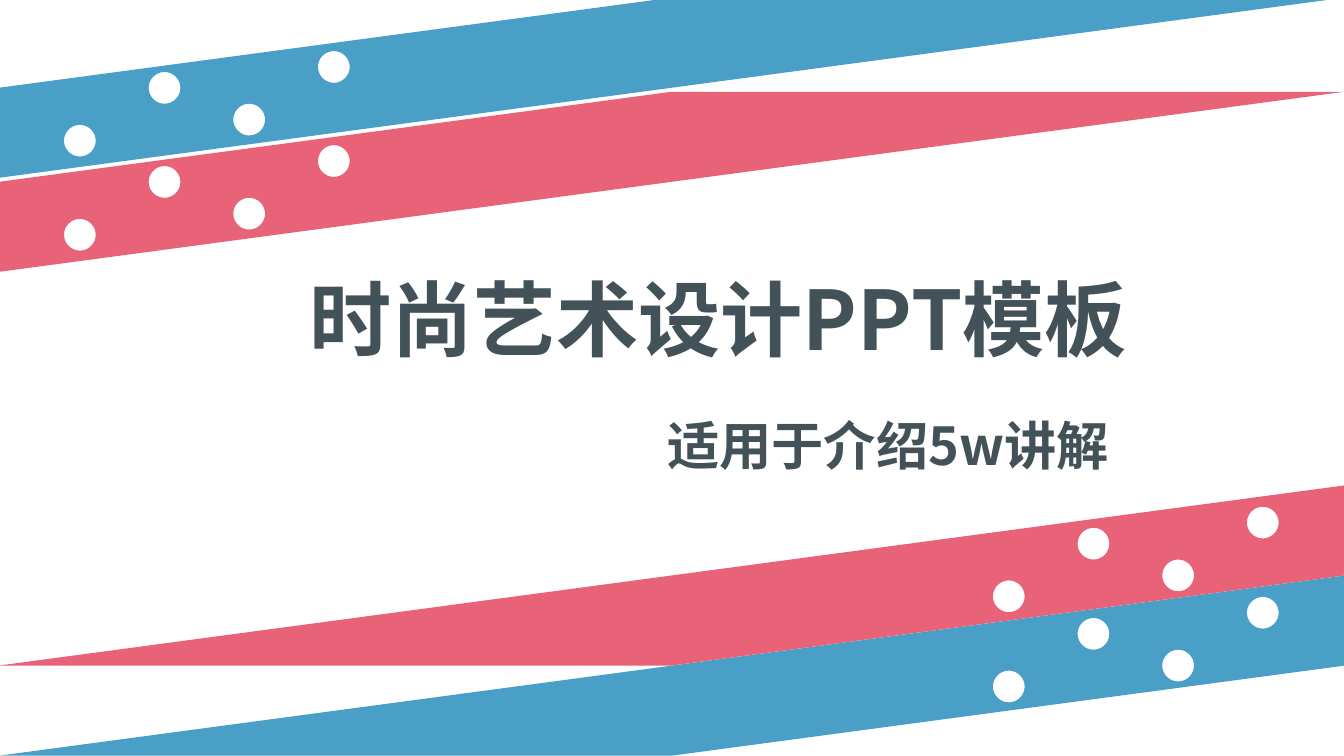
import pptx
import pptx.dml.color
import pptx.enum.text
import pptx.oxml
import pptx.oxml.ns
import pptx.util

Pt = pptx.util.Pt
DRAWING = pptx.oxml.ns.nsdecls("a")
FONT = "Noto Sans CJK SC"
BLUE, RED, INK = "2A8FBD", "E44860", "435258"

# Geometry shared by all bands, in points from the band's top left corner
BAND_WIDTH, BAND_HEIGHT = 720.7, 96.5
BAND_LEFT = -0.7
CORNERS = [(BAND_WIDTH / 2, 0), (BAND_WIDTH, 0),
           (0, BAND_HEIGHT), (0, BAND_HEIGHT / 2)]
DOT_RADIUS = 8.5
DOTS = [(43.5 + 45.35 * i, y) for i, y in enumerate([76.6, 48.3, 65.3, 37.1])]

# A unit circle as four curves: start point, then three points per curve
BEND = 0.55
CIRCLE = [(1, 0), (1, -BEND), (BEND, -1), (0, -1),
          (-BEND, -1), (-1, -BEND), (-1, 0),
          (-1, BEND), (-BEND, 1), (0, 1),
          (BEND, 1), (1, BEND), (1, 0)]


def color(hex_code):
    return pptx.dml.color.RGBColor.from_string(hex_code)


def write(frame, text, *, size, ink=INK, bold=True,
          align=pptx.enum.text.PP_ALIGN.CENTER):
    """Fill a text frame with one formatted paragraph."""
    frame.word_wrap = True
    frame.auto_size = pptx.enum.text.MSO_AUTO_SIZE.SHAPE_TO_FIT_TEXT
    frame.vertical_anchor = pptx.enum.text.MSO_ANCHOR.TOP
    para = frame.paragraphs[0]
    para.alignment = align
    span = para.add_run()
    span.text = text
    span.font.size = Pt(size)
    span.font.bold = bold
    span.font.color.rgb = color(ink)
    span.font.name = FONT
    span.font._element.append(pptx.oxml.parse_xml(
        f'<a:ea {DRAWING} typeface="{FONT}"/>'))


def add_hole(outline, x, y):
    """Add a round contour, centred on x and y, to a freeform's path."""
    points = [f'<a:pt x="{Pt(x + DOT_RADIUS * across)}" '
              f'y="{Pt(y + DOT_RADIUS * down)}"/>' for across, down in CIRCLE]
    steps = [("moveTo", points[:1])]
    steps += [("cubicBezTo", points[i:i + 3]) for i in range(1, 13, 3)]
    steps.append(("close", []))
    for tag, parts in steps:
        outline.append(pptx.oxml.parse_xml(
            f'<a:{tag} {DRAWING}>{"".join(parts)}</a:{tag}>'))


class Cover:
    def __init__(self, deck):
        self.page = deck.slides.add_slide(deck.slide_layouts[5])

    def title(self, text, left, top, width, height, **style):
        box = self.page.shapes.title
        box.left, box.top, box.width, box.height = map(
            Pt, (left, top, width, height))
        write(box.text_frame, text, **style)

    def label(self, text, left, top, width, height, **style):
        box = self.page.shapes.add_textbox(
            *map(Pt, (left, top, width, height)))
        write(box.text_frame, text, **style)

    def band(self, top, fill, half_turn=False, opacity=85):
        """Draw a slanted band with four round holes."""
        def turn(point):
            x, y = point
            return (BAND_WIDTH - x, BAND_HEIGHT - y) if half_turn else point

        start, *rest = [(Pt(BAND_LEFT + x), Pt(top + y))
                        for x, y in map(turn, CORNERS)]
        builder = self.page.shapes.build_freeform(*start)
        builder.add_line_segments(rest, close=True)
        shape = builder.convert_to_shape()
        properties = shape._element.spPr
        outline = properties.find(".//" + pptx.oxml.ns.qn("a:path"))
        for dot in DOTS:
            add_hole(outline, *turn(dot))

        shape.shadow.inherit = False
        shape.line.fill.background()
        shape.fill.solid()
        shape.fill.fore_color.rgb = color(fill)
        tint = properties.find(".//" + pptx.oxml.ns.qn("a:srgbClr"))
        tint.append(pptx.oxml.parse_xml(
            f'<a:alpha {DRAWING} val="{opacity * 1000}"/>'))


def main():
    deck = pptx.Presentation()
    deck.slide_width, deck.slide_height = Pt(720), Pt(405)
    cover = Cover(deck)

    # Blue bands, below and above
    cover.band(308.4, BLUE, half_turn=True)
    cover.band(-1.2, BLUE)

    # Subtitle and title
    cover.label("适用于介绍5w讲解", 309, 218, 333.4, 41, size=28)
    cover.title("时尚艺术设计PPT模板", 76.3, 140.4, 617, 60.5, size=44)

    # Red bands, above and below
    cover.band(49.2, RED)
    cover.band(260.1, RED, half_turn=True)

    deck.save("out.pptx")


if __name__ == "__main__":
    main()
